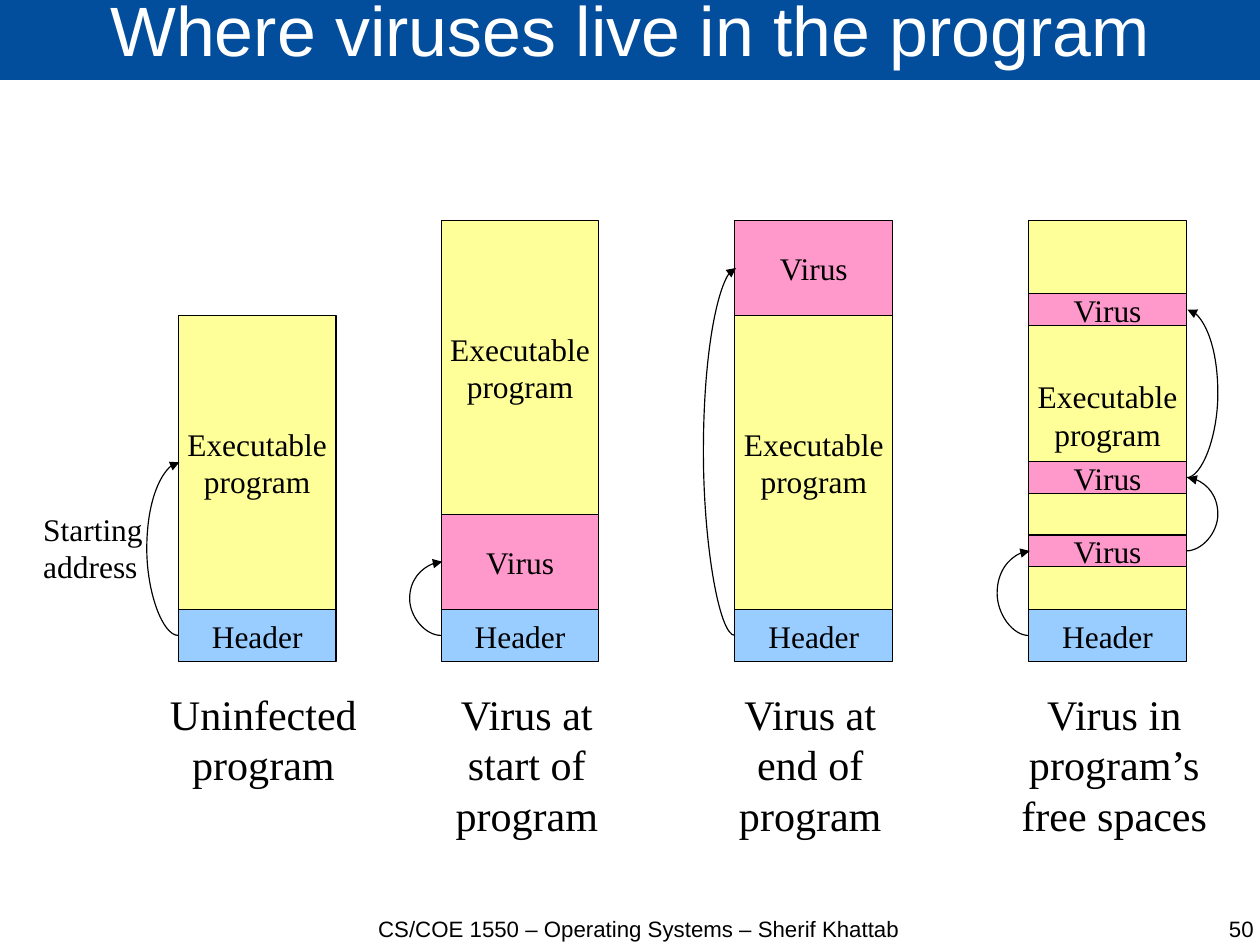
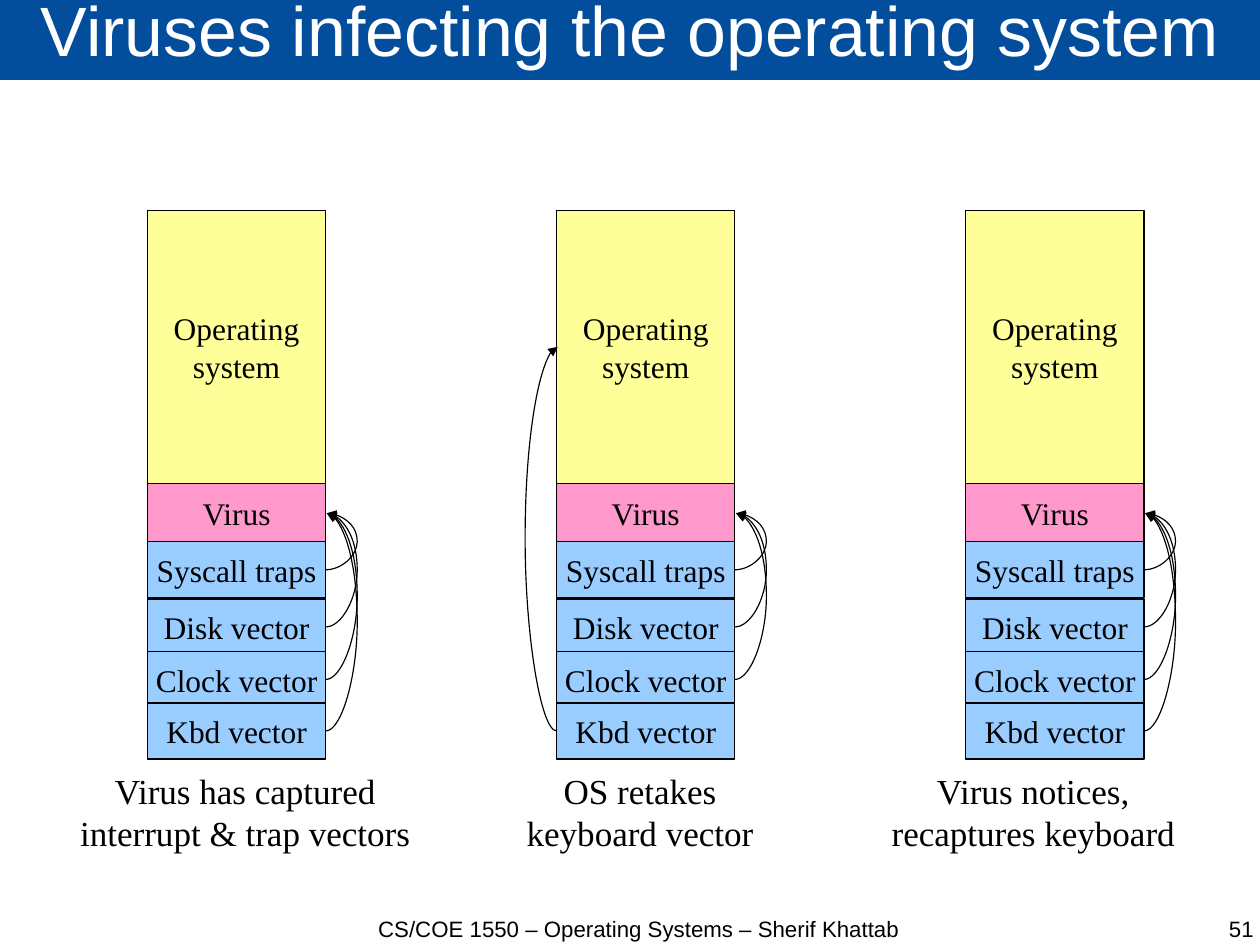
from dataclasses import dataclass

from lxml.etree import SubElement
from pptx import Presentation
from pptx.dml.color import RGBColor
from pptx.enum.shapes import MSO_CONNECTOR, MSO_SHAPE
from pptx.enum.text import MSO_ANCHOR, PP_ALIGN
from pptx.oxml.ns import qn
from pptx.shapes.autoshape import Shape
from pptx.slide import Slide
from pptx.text.text import TextFrame
from pptx.util import Emu, Inches, Pt

# The default 28 by 21 cm screen page of OpenDocument presentations
SLIDE_WIDTH, SLIDE_HEIGHT = Emu(10080625), Emu(7559675)

BLACK = RGBColor(0x00, 0x00, 0x00)
WHITE = RGBColor(0xFF, 0xFF, 0xFF)
NAVY = RGBColor(0x02, 0x4E, 0x9D)
BLUE = RGBColor(0x99, 0xCC, 0xFF)
YELLOW = RGBColor(0xFF, 0xFF, 0x99)
PINK = RGBColor(0xFF, 0x99, 0xCC)

SANS, SERIF = "Arial", "Times New Roman"
FOOTER = "CS/COE 1550 – Operating Systems – Sherif Khattab"
LABEL_SIZE = 19.8
LINE_WIDTH = Pt(0.75)
LEFT_SITE, RIGHT_SITE = 1, 3
JUMP_WIDTH, JUMP_BULGE = 0.01, 0.28


@dataclass(frozen=True)
class Block:
    label: str
    top: float
    height: float
    color: RGBColor


@dataclass(frozen=True)
class Jump:
    """An arrow between two blocks of a column, given by their indexes."""
    source: int
    target: int
    site: int = LEFT_SITE


@dataclass(frozen=True)
class Caption:
    text: str
    left: float
    width: float


@dataclass(frozen=True)
class Column:
    left: float
    blocks: list[Block]
    jumps: list[Jump]
    caption: Caption


@dataclass(frozen=True)
class Diagram:
    title: str
    number: int
    block_width: float
    caption_top: float
    caption_height: float
    caption_size: float
    columns: list[Column]


HEADER = Block("Header", 5.33, 0.46, BLUE)


def program(top: float, height: float = 2.57) -> Block:
    return Block("Executable\nprogram", top, height, YELLOW)


def virus(top: float, height: float) -> Block:
    return Block("Virus", top, height, PINK)


PROGRAM_DIAGRAM = Diagram(
    "Where viruses live in the program", 50, 1.38, 5.97, 1.44, 26.5,
    [
        Column(1.56, [program(2.76), HEADER], [Jump(1, 0)],
               Caption("Uninfected\nprogram", 1.38, 1.85)),
        Column(3.86, [program(1.93), virus(4.5, 0.83), HEADER], [Jump(2, 1)],
               Caption("Virus at\nstart of\nprogram", 3.88, 1.46)),
        Column(6.43, [virus(1.93, 0.83), program(2.76), HEADER], [Jump(2, 0)],
               Caption("Virus at\nend of\nprogram", 6.36, 1.46)),
        Column(9, [program(1.93, 3.4), virus(2.57, 0.28), virus(4.04, 0.28),
                   virus(4.68, 0.28), HEADER],
               [Jump(4, 3), Jump(3, 2, RIGHT_SITE), Jump(2, 1, RIGHT_SITE)],
               Caption("Virus in\nprogram’s\nfree spaces", 8.83, 1.84)),
    ])

SYSTEM_BLOCKS = [
    Block("Operating\nsystem", 1.84, 2.39, YELLOW),
    virus(4.23, 0.52),
    Block("Syscall traps", 4.74, 0.49, BLUE),
    Block("Disk vector", 5.24, 0.49, BLUE),
    Block("Clock vector", 5.7, 0.49, BLUE),
    Block("Kbd vector", 6.15, 0.49, BLUE),
]
KEYBOARD = 5
CAPTURED = [Jump(i, 1, RIGHT_SITE) for i in range(2, KEYBOARD + 1)]
RETAKEN = CAPTURED[:-1] + [Jump(KEYBOARD, 0)]
SYSTEM_STATES = [
    (CAPTURED, Caption("Virus has captured\ninterrupt & trap vectors", 0.59, 3.11)),
    (RETAKEN, Caption("OS retakes\nkeyboard vector", 4.5, 2.2)),
    (CAPTURED, Caption("Virus notices,\nrecaptures keyboard", 7.69, 2.7)),
]
SYSTEM_DIAGRAM = Diagram(
    "Viruses infecting the operating system", 51, 1.56, 6.68, 0.84, 22.1,
    [Column(1.29 + 3.58 * i, SYSTEM_BLOCKS, jumps, caption)
     for i, (jumps, caption) in enumerate(SYSTEM_STATES)])


def write(tf: TextFrame, text: str, size: float, font: str = SERIF,
          color: RGBColor = BLACK, align: PP_ALIGN = PP_ALIGN.CENTER) -> None:
    p = tf.paragraphs[0]
    p.alignment = align
    for i, line in enumerate(text.split("\n")):
        if i:
            p.add_line_break()
        r = p.add_run()
        r.text = line
        r.font.name, r.font.size = font, Pt(size)
        r.font.color.rgb = color


def remove_margins(tf: TextFrame) -> None:
    tf.margin_left = tf.margin_top = tf.margin_right = tf.margin_bottom = 0


def add_text(s: Slide, left: float, top: float, width: float,
             height: float) -> TextFrame:
    sp = s.shapes.add_textbox(Inches(left), Inches(top), Inches(width), Inches(height))
    sp.text_frame.word_wrap = False
    return sp.text_frame


def add_rect(s: Slide, left: float, top: float, width: float, height: float,
             fill: RGBColor) -> Shape:
    sp = s.shapes.add_shape(MSO_SHAPE.RECTANGLE, Inches(left), Inches(top),
                            Inches(width), Inches(height))
    sp.shadow.inherit = False
    sp.fill.solid()
    sp.fill.fore_color.rgb = fill
    sp.text_frame.vertical_anchor = MSO_ANCHOR.MIDDLE
    return sp


def add_block(s: Slide, left: float, width: float, block: Block) -> Shape:
    sp = add_rect(s, left, block.top, width, block.height, block.color)
    sp.line.color.rgb = BLACK
    sp.line.width = LINE_WIDTH
    sp.text_frame.word_wrap = False
    write(sp.text_frame, block.label, LABEL_SIZE)
    return sp


def add_jump(s: Slide, source: Shape, target: Shape, site: int) -> None:
    """Join the same side of two blocks with an arrow that bulges outwards."""
    on_right = site == RIGHT_SITE
    x = source.left + source.width if on_right else source.left
    c = s.shapes.add_connector(MSO_CONNECTOR.CURVE,
                               x, source.top + source.height // 2,
                               x, target.top + target.height // 2)
    c.begin_connect(source, site)
    c.end_connect(target, site)
    c.width = Inches(JUMP_WIDTH)
    c.line.color.rgb = BLACK
    c.line.width = LINE_WIDTH
    sp_pr = c._element.spPr
    SubElement(sp_pr.find(qn("a:ln")), qn("a:tailEnd"), type="triangle")
    SubElement(sp_pr, qn("a:effectLst"))
    bulge = JUMP_BULGE if on_right else -JUMP_BULGE
    guides = sp_pr.find(qn("a:prstGeom")).find(qn("a:avLst"))
    SubElement(guides, qn("a:gd"), name="adj1",
               fmla=f"val {round(bulge / JUMP_WIDTH * 100000)}")


def add_frame(s: Slide, title: str, number: int) -> None:
    """Draw the title band, the footer and the slide number."""
    band = add_rect(s, 0, -0.02, 11.04, 0.72, NAVY)
    band.line.fill.background()
    remove_margins(band.text_frame)
    write(band.text_frame, title, 44, SANS, WHITE)
    band.text_frame.paragraphs[0].line_spacing = 0.69
    for text, left, width, align in (
            (FOOTER, 3.07, 5.04, PP_ALIGN.CENTER),
            (str(number), 8.44, 2.53, PP_ALIGN.RIGHT)):
        tf = add_text(s, left, 8.01, width, 0.55)
        tf.word_wrap = True
        remove_margins(tf)
        write(tf, text, 14, SANS, align=align)


def add_diagram(prs: Presentation, diagram: Diagram) -> Slide:
    s = prs.slides.add_slide(prs.slide_layouts[6])
    add_frame(s, diagram.title, diagram.number)
    for column in diagram.columns:
        blocks = [add_block(s, column.left, diagram.block_width, block)
                  for block in column.blocks]
        for jump in column.jumps:
            add_jump(s, blocks[jump.source], blocks[jump.target], jump.site)
        caption = column.caption
        tf = add_text(s, caption.left, diagram.caption_top, caption.width,
                      diagram.caption_height)
        write(tf, caption.text, diagram.caption_size)
    return s


def main() -> None:
    prs = Presentation()
    prs.slide_width, prs.slide_height = SLIDE_WIDTH, SLIDE_HEIGHT
    s = add_diagram(prs, PROGRAM_DIAGRAM)
    write(add_text(s, 0.28, 4.41, 1.08, 0.77), "Starting\naddress", LABEL_SIZE,
          align=PP_ALIGN.LEFT)
    add_diagram(prs, SYSTEM_DIAGRAM)
    prs.save("out.pptx")


if __name__ == "__main__":
    main()
